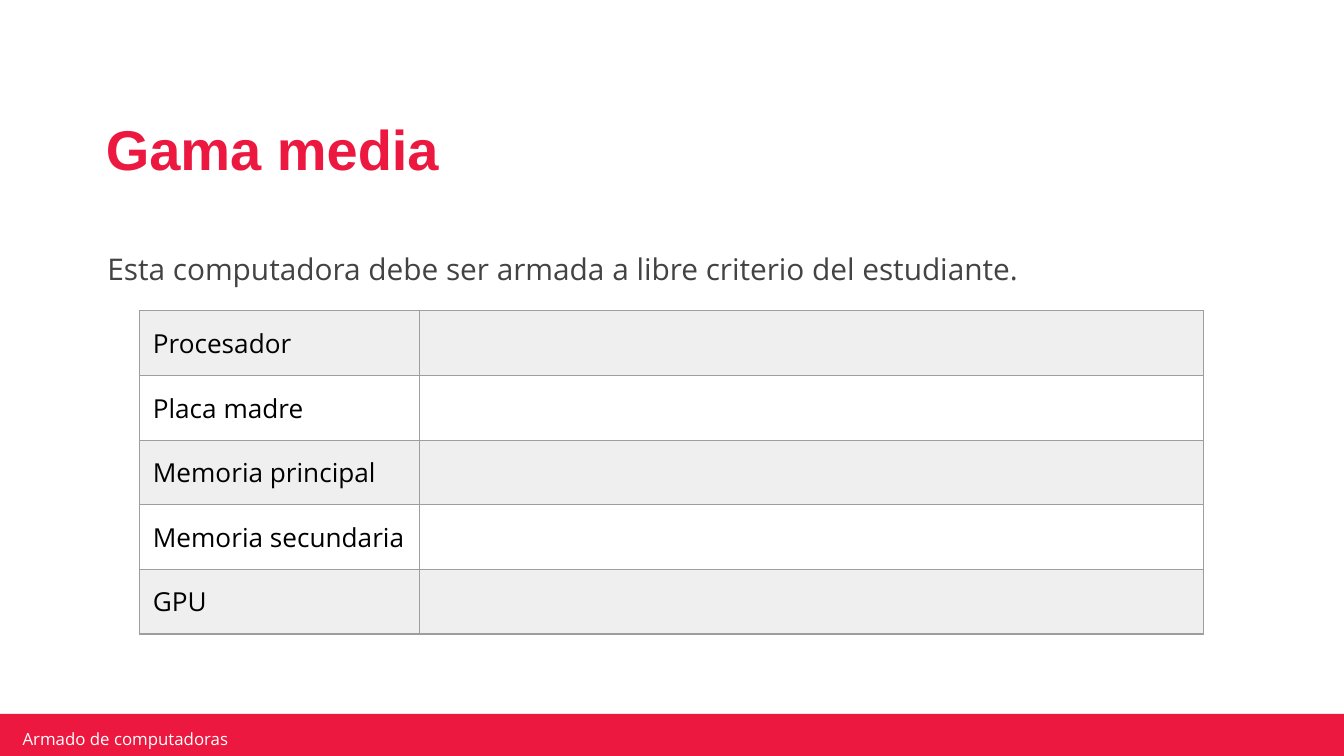
"""Build the slide that lists the parts of a mid-range computer."""
from dataclasses import dataclass

from lxml import etree
from pptx import Presentation
from pptx import util as u
from pptx.dml.color import RGBColor
from pptx.enum import shapes, text
from pptx.oxml import ns


@dataclass(frozen=True)
class Theme:
    red: str = "EC183F"
    white: str = "FFFFFF"
    band: str = "EFEFEF"
    edge: str = "9E9E9E"
    gray: str = "434343"
    black: str = "000000"
    head: str = "Arial"
    body: str = "Open Sans"
    big: int = 30
    lead: int = 16
    cell: int = 14
    foot: int = 9


T = Theme()
PX = u.Inches(1) // 160
MID = text.MSO_ANCHOR.MIDDLE
TOP = text.MSO_ANCHOR.TOP


def write(box, words, size, color, font=T.body, bold=False, lead=1.0, anchor=MID, pad=(16, 8)):
    box.vertical_anchor = anchor
    box.margin_left = box.margin_right = pad[0] * PX
    box.margin_top = box.margin_bottom = pad[1] * PX
    frame = getattr(box, "text_frame", box)
    frame.word_wrap = True
    par = frame.paragraphs[0]
    par.alignment = text.PP_ALIGN.LEFT
    par.line_spacing = lead
    if words:
        run = par.add_run()
        run.text = words
        run.font.size = u.Pt(size)
        run.font.name = font
        run.font.bold = bold
        run.font.color.rgb = RGBColor.from_string(color)


def border(cell, color, width):
    props = cell._tc.get_or_add_tcPr()
    for spot, side in enumerate(("lnL", "lnR", "lnT", "lnB")):
        line = etree.Element(ns.qn(f"a:{side}"), w=str(u.Pt(width)))
        fill = etree.SubElement(line, ns.qn("a:solidFill"))
        etree.SubElement(fill, ns.qn("a:srgbClr"), val=color)
        props.insert(spot, line)


deck = Presentation()
deck.slide_width, deck.slide_height = 1600 * PX, 900 * PX
slide = deck.slides.add_slide(deck.slide_layouts[5])
items = slide.shapes

bar = items.add_shape(shapes.MSO_SHAPE.RECTANGLE, -3 * PX, 850 * PX, 1605 * PX, 58 * PX)
bar.shadow.inherit = False
bar.fill.solid()
bar.fill.fore_color.rgb = RGBColor.from_string(T.red)
bar.line.fill.background()

foot = items.add_textbox(19 * PX, 867 * PX, 382 * PX, 24 * PX)
write(foot.text_frame, "Armado de computadoras", T.foot, T.white, pad=(8, 3))

title = items.title
title.left, title.top, title.width, title.height = 112 * PX, 107 * PX, 1344 * PX, 149 * PX
write(title.text_frame, "Gama media", T.big, T.red, font=T.head, bold=True, lead=0.9, pad=(14, 7))

parts = ("Procesador", "Placa madre", "Memoria principal", "Memoria secundaria", "GPU")
wide = (333, 934)
high = 77
grid = items.add_table(
    len(parts), len(wide), 166 * PX, 370 * PX, sum(wide) * PX, high * len(parts) * PX
).table
for col, size in zip(grid.columns, wide):
    col.width = size * PX
for row, (line, part) in enumerate(zip(grid.rows, parts)):
    line.height = high * PX
    for cell, words in zip(line.cells, (part, "")):
        write(cell, words, T.cell, T.black)
        cell.fill.solid()
        cell.fill.fore_color.rgb = RGBColor.from_string(T.white if row % 2 else T.band)
        border(cell, T.edge, 0.75)

note = items.add_textbox(112 * PX, 269 * PX, 1413 * PX, 48 * PX)
write(
    note.text_frame,
    "Esta computadora debe ser armada a libre criterio del estudiante.",
    T.lead, T.gray, lead=1.5, anchor=TOP,
)

deck.save("out.pptx")
